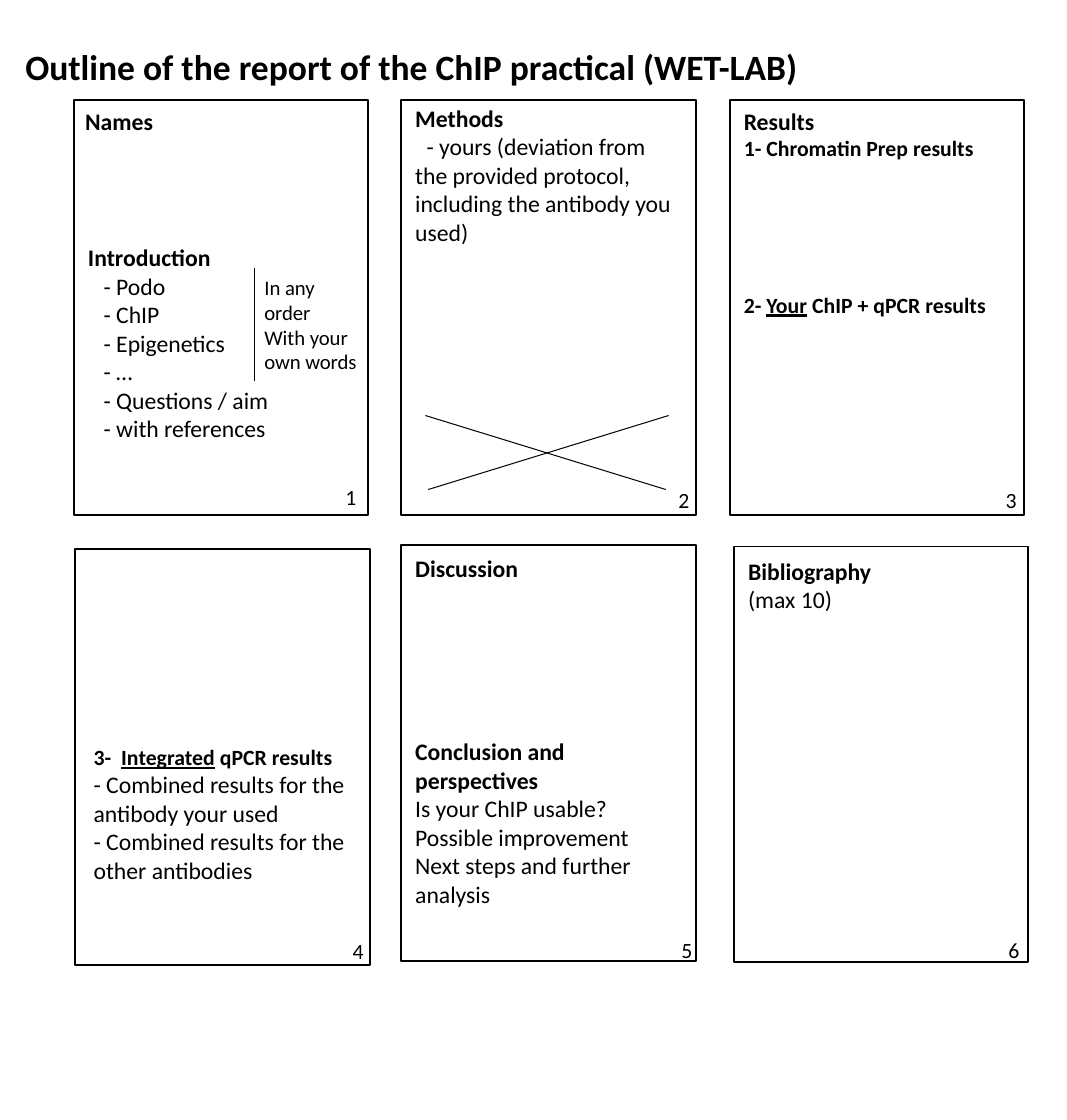
from lxml import etree
from pptx import Presentation
from pptx.dml.color import RGBColor
from pptx.enum.shapes import MSO_CONNECTOR, MSO_SHAPE
from pptx.enum.text import MSO_AUTO_SIZE
from pptx.oxml.ns import qn
from pptx.util import Inches, Pt

BLACK = RGBColor(0, 0, 0)
WHITE = RGBColor(255, 255, 255)
FONT = "Calibri"
RECT = MSO_SHAPE.RECTANGLE
LINE = MSO_CONNECTOR.STRAIGHT
NO_FIT = MSO_AUTO_SIZE.NONE
PAGE_W, PAGE_H = 2.07, 2.92
TEXT_W = 2.04

PAGES = [
    (0.52, 0.7, 2.33, 3.35),
    (2.82, 0.7, 4.67, 3.37),
    (5.13, 0.7, 6.97, 3.37),
    (0.53, 3.86, 2.38, 6.54),
    (2.82, 3.83, 4.69, 6.53),
    (5.16, 3.84, 6.99, 6.53),
]
TOPICS = ["Podo", "ChIP", "Epigenetics", "…", "Questions / aim", "with references"]
STROKES = [
    (1.79, 1.88, 1.79, 2.68),
    (2.99, 2.92, 4.68, 3.44),
    (3.01, 3.44, 4.7, 2.92),
]


def add_page(slide, left, top):
    """Draw the outline of one report page."""
    page = slide.shapes.add_shape(
        RECT, Inches(left), Inches(top), Inches(PAGE_W), Inches(PAGE_H))
    page.shadow.inherit = False
    page.fill.background()
    page.line.color.rgb = BLACK
    page.line.width = Pt(1)


def add_line(slide, *ends):
    """Draw a thin line between two points."""
    line = slide.shapes.add_connector(LINE, *map(Inches, ends))
    line.line.color.rgb = BLACK
    line.line.width = Pt(0.5)
    etree.SubElement(line._element.spPr, qn("a:effectLst"))


def add_box(slide, left, top, width, height, wrap=True):
    """Add an empty text box and return its frame."""
    box = slide.shapes.add_textbox(*map(Inches, (left, top, width, height)))
    frame = box.text_frame
    frame.word_wrap = wrap
    frame.auto_size = NO_FIT
    return frame


def write(frame, text, size=12, bold=False, gap=0, left=0, first=0):
    """Add a paragraph, underlining what stands between underscores."""
    para = frame.paragraphs[0]
    if para.runs:
        para = frame.add_paragraph()
    para.space_before = Pt(gap)
    props = para._p.get_or_add_pPr()
    props.set("marL", str(Inches(left)))
    props.set("indent", str(Inches(first)))
    for place, part in enumerate(text.split("_")):
        run = para.add_run()
        run.text = part
        font = run.font
        font.name, font.size, font.bold = FONT, Pt(size), bold
        font.underline = place % 2 == 1
        font.color.rgb = BLACK


def add_intro(slide):
    """Fill the first page."""
    write(add_box(slide, 0.5, 0.7, 0.68, 0.3, wrap=False), "Names", bold=True)
    intro = add_box(slide, 0.52, 1.66, 1.49, 1.52, wrap=False)
    write(intro, "Introduction", bold=True)
    for topic in TOPICS:
        write(intro, "- " + topic, left=0.11)
    side = add_box(slide, 1.76, 1.88, 0.88, 0.81)
    for text in ("In any order", "With your own words"):
        write(side, text, size=10.5)


def add_methods(slide):
    """Fill the second page."""
    frame = add_box(slide, 2.82, 0.68, TEXT_W, 1.11)
    write(frame, "Methods", bold=True)
    write(frame, "- yours (deviation from the provided protocol, "
          "including the antibody you used)", first=0.08)


def add_results(slide):
    """Fill the third and fourth pages."""
    frame = add_box(slide, 5.13, 0.7, TEXT_W, 1.6)
    write(frame, "Results", bold=True)
    write(frame, "1- Chromatin Prep results", size=11, bold=True)
    write(frame, "2- _Your_ ChIP + qPCR results", size=11, bold=True, gap=66)
    frame = add_box(slide, 0.56, 5.18, TEXT_W, 1.09)
    write(frame, "3-  _Integrated_ qPCR results", size=11, bold=True)
    for group in ("antibody your used", "other antibodies"):
        write(frame, "- Combined results for the " + group)


def add_closing(slide):
    """Fill the fifth and sixth pages."""
    write(add_box(slide, 2.82, 3.84, TEXT_W, 0.3), "Discussion", bold=True)
    frame = add_box(slide, 2.82, 5.13, 2.08, 1.31)
    write(frame, "Conclusion and perspectives", bold=True)
    for text in ("Is your ChIP usable?", "Possible improvement",
                 "Next steps and further analysis"):
        write(frame, text)
    frame = add_box(slide, 5.16, 3.86, TEXT_W, 0.51)
    write(frame, "Bibliography", bold=True)
    write(frame, "(max 10)")


def main():
    """Build and save the slide."""
    deck = Presentation()
    deck.slide_width, deck.slide_height = Inches(7.5), Inches(7.87)
    slide = deck.slides.add_slide(deck.slide_layouts[6])
    slide.background.fill.solid()
    slide.background.fill.fore_color.rgb = WHITE
    title = add_box(slide, 0.08, 0.27, 5.7, 0.4, wrap=False)
    write(title, "Outline of the report of the ChIP practical (WET-LAB)",
          size=18, bold=True)
    for count, (left, top, num_x, num_y) in enumerate(PAGES, 1):
        add_page(slide, left, top)
        number = add_box(slide, num_x, num_y, 0.28, 0.29, wrap=False)
        write(number, str(count), size=11)
    for ends in STROKES:
        add_line(slide, *ends)
    add_intro(slide)
    add_methods(slide)
    add_results(slide)
    add_closing(slide)
    deck.save("out.pptx")


main()
